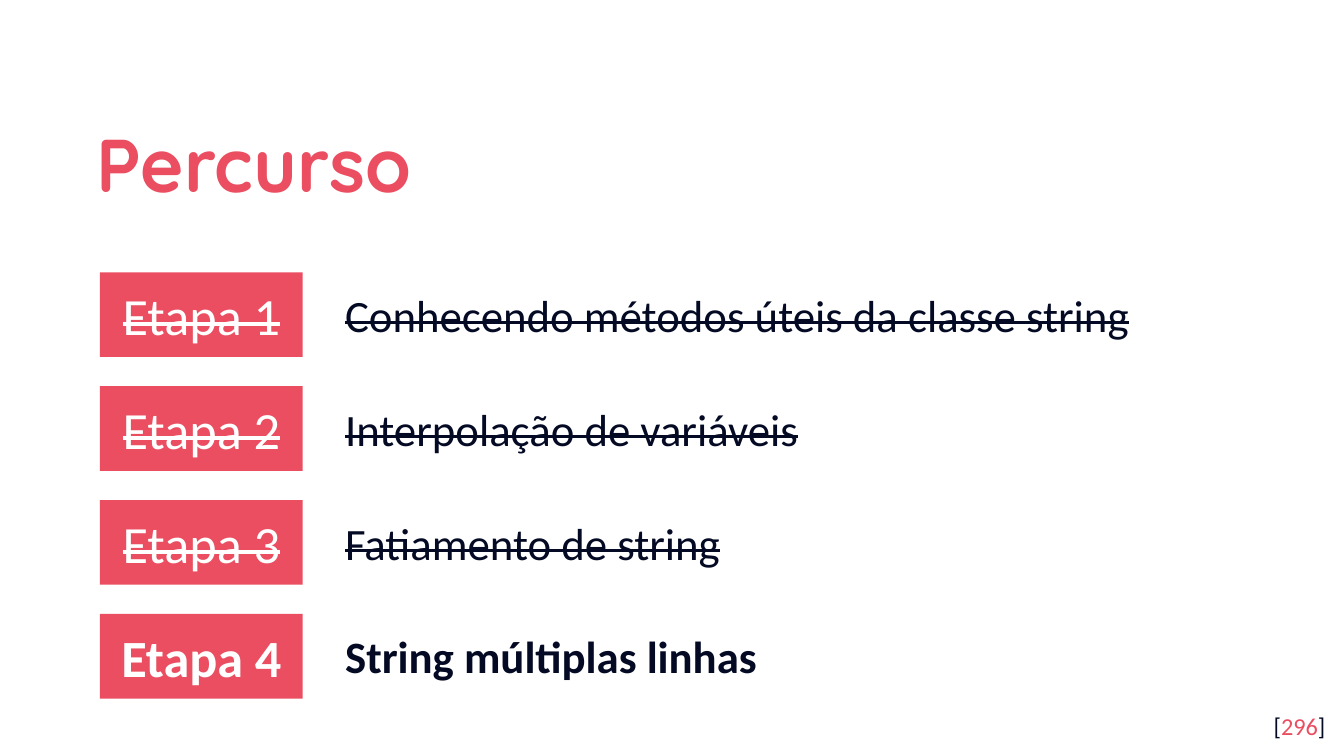
from dataclasses import dataclass

from pptx import Presentation
from pptx.dml.color import RGBColor
from pptx.enum.shapes import MSO_SHAPE
from pptx.enum.text import MSO_ANCHOR, MSO_AUTO_SIZE, PP_ALIGN
from pptx.util import Pt


@dataclass(frozen=True)
class Theme:
    accent: RGBColor = RGBColor(0xEA, 0x4E, 0x60)
    ink: RGBColor = RGBColor(0x04, 0x0A, 0x24)
    paper: RGBColor = RGBColor(0xFF, 0xFF, 0xFF)
    heading_font: str = "Quicksand"
    body_font: str = "Calibri"
    title_size: int = 40
    step_size: int = 28
    topic_size: int = 24
    number_size: int = 13


def apply(target, formats):
    for name, value in formats.items():
        setattr(target, name, value)


class SlideWriter:
    def __init__(self, page, theme):
        self.page = page
        self.theme = theme

    def frame(self, box, anchor=MSO_ANCHOR.TOP, inset=7.2):
        apply(box.text_frame, {
            "word_wrap": True,
            "auto_size": MSO_AUTO_SIZE.NONE,
            "vertical_anchor": anchor,
            "margin_left": Pt(7.2),
            "margin_right": Pt(7.2),
            "margin_top": Pt(inset),
            "margin_bottom": Pt(inset),
        })
        return box.text_frame.paragraphs[0]

    def span(self, para, text, size, color, font=None, bold=False, done=False):
        span = para.add_run()
        span.text = text
        apply(span.font, {
            "name": font or self.theme.body_font,
            "size": Pt(size),
            "bold": bold,
        })
        span.font.color.rgb = color
        if done:
            span._r.get_or_add_rPr().set("strike", "sngStrike")

    def title(self, text, left, top, width, height):
        box = self.page.shapes.title
        apply(box, {
            "left": Pt(left),
            "top": Pt(top),
            "width": Pt(width),
            "height": Pt(height),
        })
        para = self.frame(box, MSO_ANCHOR.MIDDLE)
        apply(para, {"alignment": PP_ALIGN.LEFT, "line_spacing": 1.15})
        self.span(para, text, self.theme.title_size, self.theme.accent,
                  self.theme.heading_font, bold=True)

    def step(self, text, left, top, width, height, done):
        box = self.page.shapes.add_shape(
            MSO_SHAPE.RECTANGLE, Pt(left), Pt(top), Pt(width), Pt(height))
        box.shadow.inherit = False
        box.fill.solid()
        box.fill.fore_color.rgb = self.theme.accent
        box.line.fill.background()
        para = self.frame(box, MSO_ANCHOR.MIDDLE)
        para.alignment = PP_ALIGN.CENTER
        self.span(para, text, self.theme.step_size, self.theme.paper,
                  bold=not done, done=done)

    def topic(self, text, left, top, width, height, done):
        box = self.page.shapes.add_textbox(
            Pt(left), Pt(top), Pt(width), Pt(height))
        para = self.frame(box, inset=3.6)
        self.span(para, text, self.theme.topic_size, self.theme.ink,
                  bold=not done, done=done)

    def page_number(self, number, left, top, width, height):
        box = self.page.shapes.add_textbox(
            Pt(left), Pt(top), Pt(width), Pt(height))
        para = self.frame(box)
        para.alignment = PP_ALIGN.RIGHT
        theme = self.theme
        for text, color in (("[", theme.ink), (number, theme.accent), ("]", theme.ink)):
            self.span(para, text, theme.number_size, color)


def main():
    deck = Presentation()
    apply(deck, {"slide_width": Pt(720), "slide_height": Pt(405)})
    page = deck.slides.add_slide(deck.slide_layouts[5])
    theme = Theme()
    page.background.fill.solid()
    page.background.fill.fore_color.rgb = theme.paper

    writer = SlideWriter(page, theme)
    writer.title("Percurso", 44.6, 50.4, 583.2, 66.2)
    writer.page_number("296", 673.9, 373.7, 43.2, 31)

    topics = [
        "Conhecendo métodos úteis da classe string",
        "Interpolação de variáveis",
        "Fatiamento de string",
        "String múltiplas linhas",
    ]
    first_top, pitch = 145.9, 61
    for index, topic in enumerate(topics):
        top = first_top + index * pitch
        done = index < len(topics) - 1
        writer.step(f"Etapa {index + 1}", 53.5, top, 108.7, 45.4, done)
        writer.topic(topic, 177.8, top + 4.6, 486, 36, done)

    deck.save("out.pptx")


if __name__ == "__main__":
    main()
